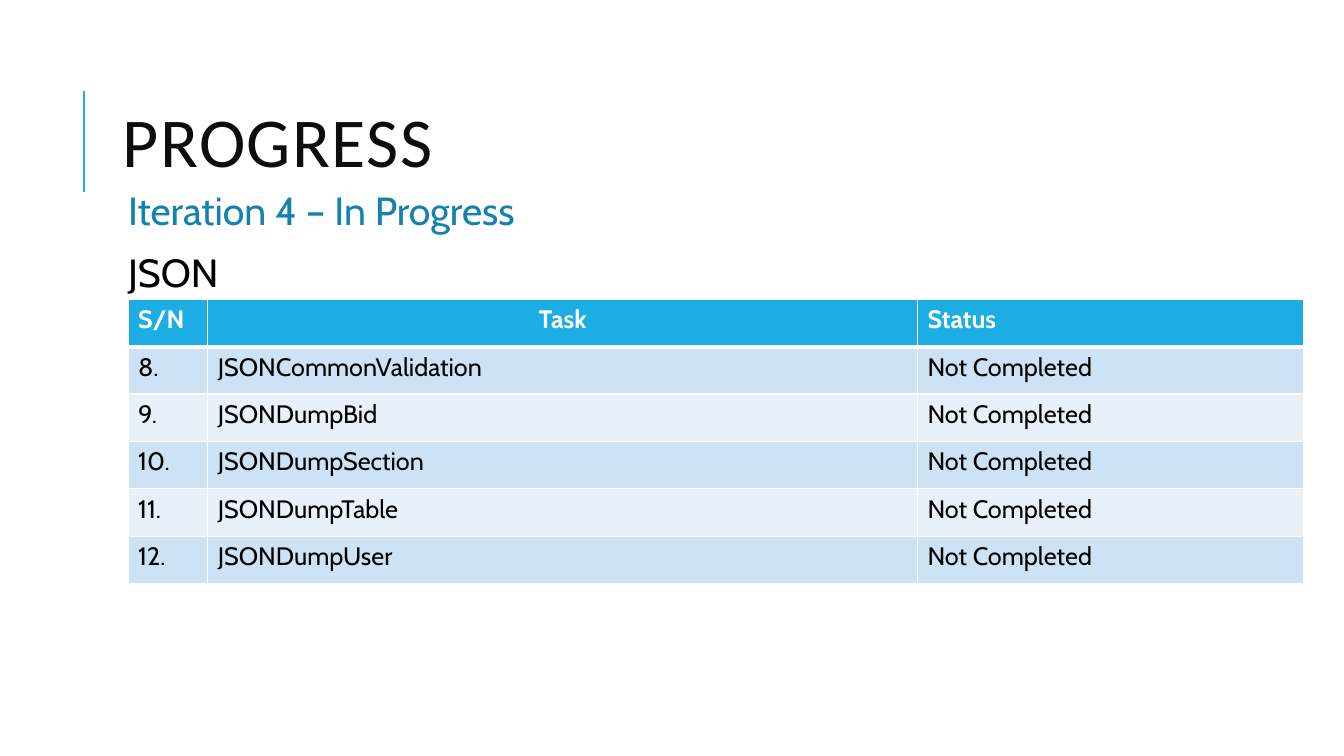
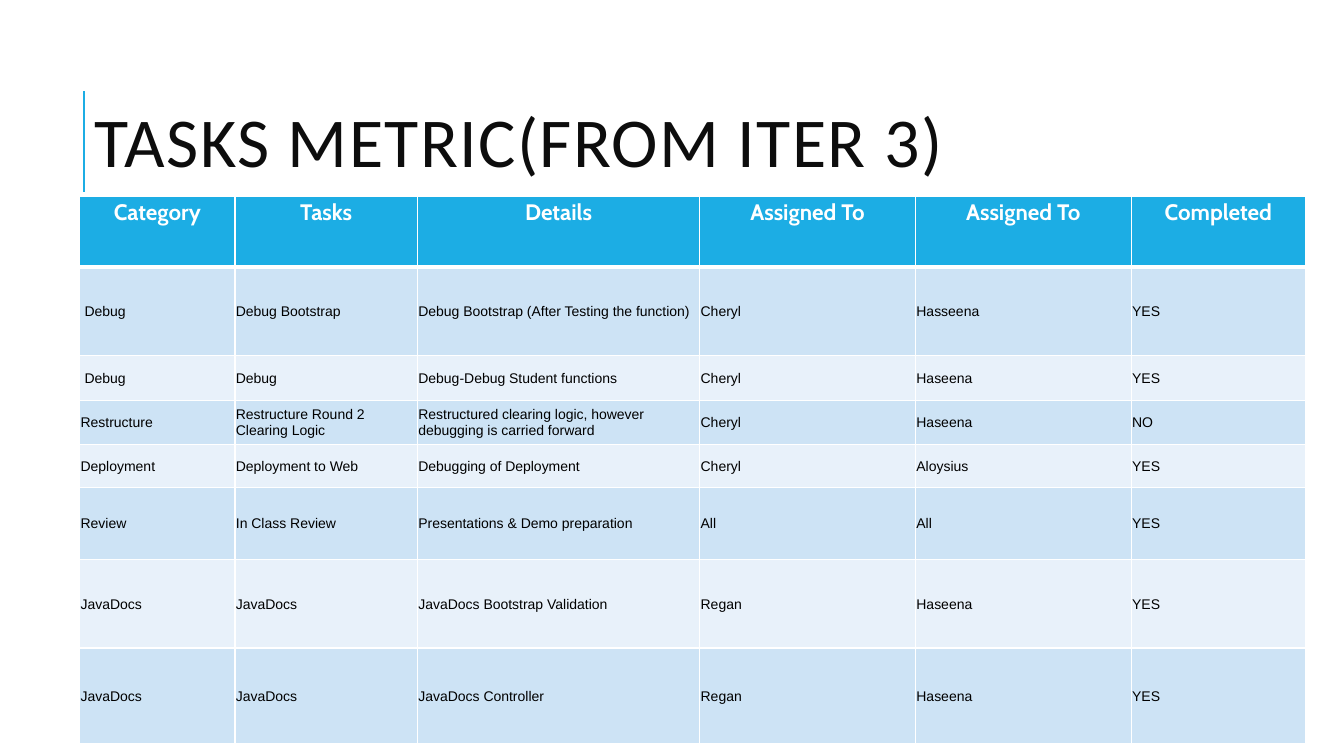
from lxml import etree
from pptx import Presentation
from pptx import util as u
from pptx.dml.color import RGBColor
from pptx.enum import shapes, text
from pptx.oxml.ns import qn

PX = 9144  # 100 px to the inch
COLORS = {
    "accent": "1CADE4",
    "subtitle": "1482AC",
    "title": "0D0D0D",
    "text": "000000",
    "white": "FFFFFF",
    "band_dark": "CDE3F5",
    "band_light": "E8F1FA",
}
LEFT, CENTER = text.PP_ALIGN.LEFT, text.PP_ALIGN.CENTER
TOP, MIDDLE = text.MSO_ANCHOR.TOP, text.MSO_ANCHOR.MIDDLE

PROGRESS_HEADER = ["S/N", "Task", "Status"]
PROGRESS_TASKS = ["JSONCommonValidation", "JSONDumpBid", "JSONDumpSection",
                  "JSONDumpTable", "JSONDumpUser"]
METRIC_HEADER = ["Category", "Tasks", "Details", "Assigned To", "Assigned To",
                 "Completed"]
METRIC_ROWS = [
    [" Debug", "Debug Bootstrap", "Debug Bootstrap (After Testing the function)",
     "Cheryl", "Hasseena", "YES"],
    [" Debug", "Debug", "Debug-Debug Student functions", "Cheryl", "Haseena", "YES"],
    ["Restructure", "Restructure Round 2 Clearing Logic",
     "Restructured clearing logic, however debugging is carried forward",
     "Cheryl", "Haseena", "NO"],
    ["Deployment", "Deployment to Web", "Debugging of Deployment",
     "Cheryl", "Aloysius", "YES"],
    ["Review", "In Class Review", "Presentations & Demo preparation",
     "All", "All", "YES"],
    ["JavaDocs", "JavaDocs", "JavaDocs Bootstrap Validation",
     "Regan", "Haseena", "YES"],
    ["JavaDocs", "JavaDocs", "JavaDocs Controller", "Regan", "Haseena", "YES"],
]


def px(*lengths):
    return [u.Emu(length * PX) for length in lengths]


def rgb(name):
    return RGBColor.from_string(COLORS[name])


def write(paragraph, words, size=18, font="Cabin", color="text", bold=False,
          align=LEFT, leading=1.0, before=0, after=0, tracking=0):
    """Put formatted words into a paragraph."""
    paragraph.alignment = align
    paragraph.line_spacing = leading
    paragraph.space_before, paragraph.space_after = u.Pt(before), u.Pt(after)
    run = paragraph.add_run()
    run.text = words
    run.font.size, run.font.name, run.font.bold = u.Pt(size), font, bold
    run.font.color.rgb = rgb(color)
    if tracking:
        run.font._element.set("spc", str(tracking * 100))


def set_margins(holder, margins):
    (holder.margin_left, holder.margin_top,
     holder.margin_right, holder.margin_bottom) = px(*margins)


def add_frame(slide, box, margins, anchor=TOP):
    frame = slide.shapes.add_textbox(*px(*box)).text_frame
    frame.word_wrap = True
    frame.vertical_anchor = anchor
    set_margins(frame, margins)
    return frame


def add_titled_slide(prs, title, left):
    """Blank slide with the accent rule and the title beside it."""
    slide = prs.slides.add_slide(prs.slide_layouts[6])
    rule = slide.shapes.add_connector(
        shapes.MSO_CONNECTOR.STRAIGHT, *px(83, 190, 83, 90))
    rule.line.color.rgb = rgb("accent")
    rule.line.width = u.Pt(1.5)
    etree.SubElement(rule._element.spPr, qn("a:effectLst"))
    frame = add_frame(slide, (left, 64, 1063, 164), (10, 5, 10, 5), MIDDLE)
    write(frame.paragraphs[0], title, size=50, font="Calibri", color="title",
          leading=0.8, tracking=1)
    return slide


def set_borders(cell, widths):
    """White cell borders; widths maps L, R, T, B to points."""
    properties = cell._tc.get_or_add_tcPr()
    for side in "LRTB":
        line = etree.SubElement(properties, qn(f"a:ln{side}"),
                                w=str(u.Pt(widths.get(side, 1))))
        fill = etree.SubElement(line, qn("a:solidFill"))
        etree.SubElement(fill, qn("a:srgbClr"), val=COLORS["white"])


def add_banded_table(slide, origin, columns, heights, rows, header_format,
                     body_format, header_aligns, margins=(10, 5, 10, 5),
                     body_anchor=TOP):
    table = slide.shapes.add_table(
        len(rows), len(columns),
        *px(*origin, sum(columns), sum(heights))).table
    for column, width in zip(table.columns, px(*columns)):
        column.width = width
    for row, height in zip(table.rows, px(*heights)):
        row.height = height

    for r, row in enumerate(rows):
        # Header, then alternating bands
        if r == 0:
            band, borders = "accent", {"B": 3}
        else:
            band = "band_dark" if r % 2 else "band_light"
            borders = {"T": 3} if r == 1 else {}
        for c, words in enumerate(row):
            cell = table.cell(r, c)
            set_margins(cell, margins)
            cell.vertical_anchor = body_anchor if r else TOP
            set_borders(cell, borders)
            cell.fill.solid()
            cell.fill.fore_color.rgb = rgb(band)
            style = body_format if r else dict(
                header_format, color="white", bold=True, align=header_aligns[c])
            write(cell.text_frame.paragraphs[0], words, **style)


def build_progress(prs):
    slide = add_titled_slide(prs, "PROGRESS", 112)
    headings = add_frame(slide, (112, 185, 1063, 110), (15, 5, 5, 5))
    write(headings.paragraphs[0], "Iteration 4 – In Progress", size=28,
          color="subtitle", leading=0.9, after=2)
    write(headings.add_paragraph(), "JSON", size=28, leading=0.9,
          before=12, after=2)
    rows = [PROGRESS_HEADER] + [
        [f"{number}.", task, "Not Completed"]
        for number, task in enumerate(PROGRESS_TASKS, 8)]
    add_banded_table(slide, (127, 297), (79, 704, 383), [47] * len(rows), rows,
                     header_format={"size": 18}, body_format={"size": 18},
                     header_aligns=(LEFT, CENTER, LEFT))


def build_metric(prs):
    slide = add_titled_slide(prs, "TASKS METRIC(FROM ITER 3)", 84)
    add_banded_table(slide, (79, 195), (154, 181, 280, 214, 214, 173),
                     (70, 88, 44, 44, 43, 71, 88, 95),
                     [METRIC_HEADER] + METRIC_ROWS,
                     header_format={"size": 16, "leading": 1.07},
                     body_format={"size": 10, "font": "Arial"},
                     header_aligns=[CENTER] * len(METRIC_HEADER),
                     margins=(1, 1, 1, 0), body_anchor=MIDDLE)


def main():
    prs = Presentation()
    prs.slide_width, prs.slide_height = px(1333, 750)
    build_progress(prs)
    build_metric(prs)
    prs.save("out.pptx")


if __name__ == "__main__":
    main()
